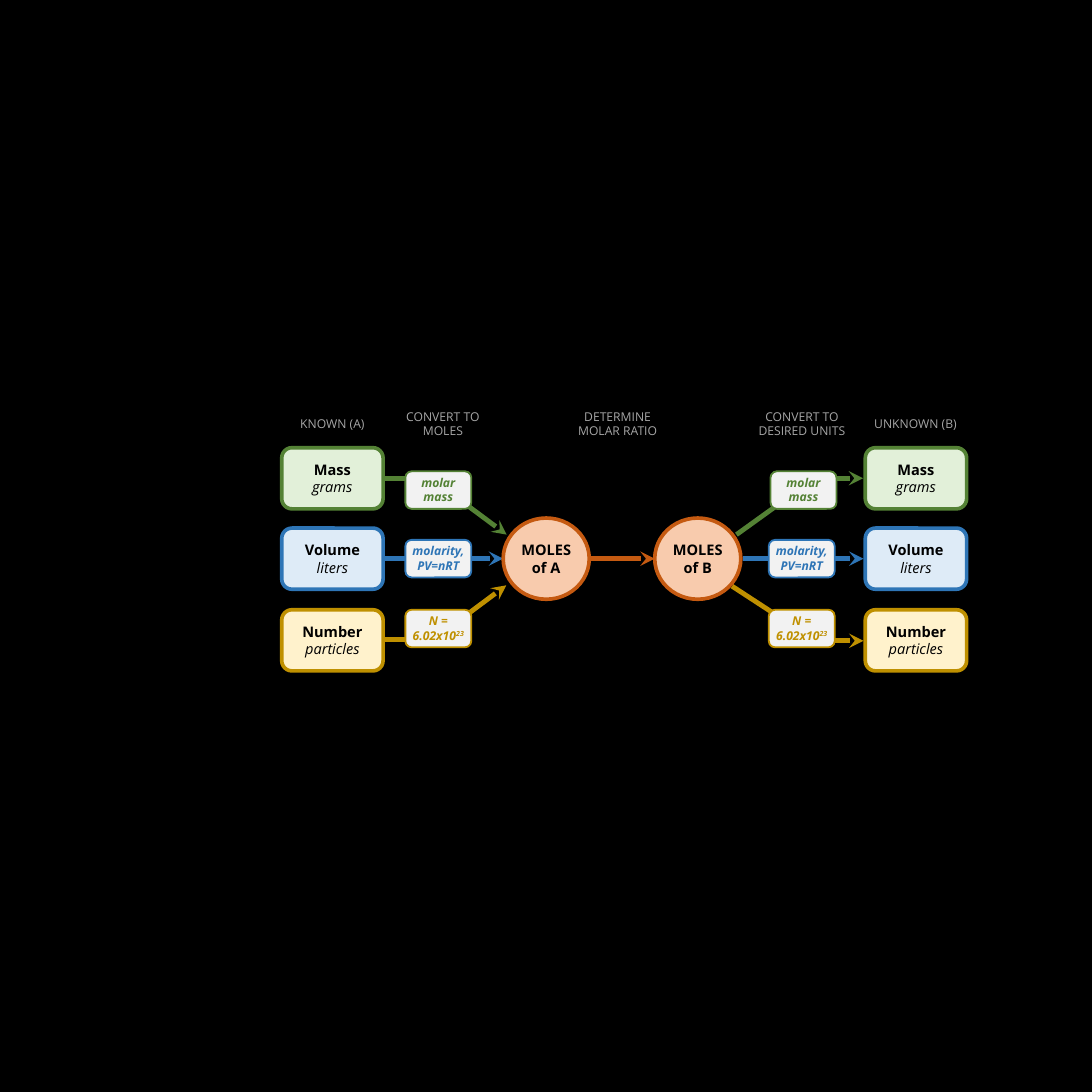
import pptx
import pptx.util
import pptx.dml.color
import pptx.enum.shapes
import pptx.enum.text
import pptx.oxml.ns
import lxml.etree
from dataclasses import dataclass
from pptx.util import Inches


@dataclass(frozen=True)
class Theme:
    font: str = "Open Sans"
    background: str = "000000"
    header: str = "A6A6A6"
    ink: str = "000000"
    label_fill: str = "F2F2F2"
    moles_fill: str = "F8CBAD"
    moles_line: str = "C55A11"
    large: int = 24
    small: int = 20
    arrow_width: int = 8
    box_border: int = 6
    label_border: int = 3


theme = Theme()

QUANTITIES = [
    {"name": "Mass", "unit": "grams", "label": ["molar mass"], "fill": "E2F0D9", "line": "548235",
     "top": 10.25, "label_top": 10.79, "label_lefts": (9.28, 17.64),
     "routes": [((8.76, 10.96), (9.86, 10.96), False), ((9.89, 10.97), (11.6, 12.24), True),
                ((16.86, 12.24), (18.68, 10.93), False), ((18.66, 10.95), (19.76, 10.95), True)]},
    {"name": "Volume", "unit": "liters", "label": ["molarity,", "PV=nRT"], "fill": "DEEBF7", "line": "2E75B6",
     "top": 12.09, "label_top": 12.36, "label_lefts": (9.28, 17.6),
     "routes": [((8.76, 12.79), (11.52, 12.79), True), ((17.02, 12.79), (19.77, 12.79), True)]},
    {"name": "Number", "unit": "particles", "label": ["N =", "6.02x10"], "power": "23",
     "fill": "FFF2CC", "line": "BF9000",
     "top": 13.96, "label_top": 13.96, "label_lefts": (9.28, 17.6),
     "routes": [((8.79, 14.65), (9.89, 14.65), False), ((9.89, 14.67), (11.59, 13.4), True),
                ((16.76, 13.42), (18.66, 14.66), False), ((18.67, 14.67), (19.77, 14.67), True)]},
]
HEADERS = [
    (["KNOWN (A)"], 6.13, 9.49, 2.96, 0.44),
    (["CONVERT TO MOLES"], 8.86, 9.32, 2.56, 0.77),
    (["DETERMINE", "MOLAR RATIO"], 12.86, 9.32, 2.56, 0.77),
    (["CONVERT TO DESIRED UNITS"], 16.84, 9.32, 3.04, 0.77),
    (["UNKNOWN (B)"], 19.48, 9.49, 2.96, 0.44),
]
MOLES = [(["MOLES", "of A"], 11.52), (["MOLES", "of B"], 14.99)]
MOLES_TOP, MOLES_WIDTH, MOLES_HEIGHT = 11.86, 1.97, 1.86
MOLES_MIDDLE = MOLES_TOP + MOLES_HEIGHT / 2
QUANTITY_LEFTS = (6.45, 19.81)
QUANTITY_SIZE = (2.32, 1.4)
LABEL_SIZE = (1.51, 0.86)

SHAPES = pptx.enum.shapes.MSO_SHAPE
ANCHOR = pptx.enum.text.MSO_ANCHOR


def rgb(color):
    return pptx.dml.color.RGBColor.from_string(color)


def style(span, size, color, bold, italic):
    span.font.name = theme.font
    span.font.size = pptx.util.Pt(size)
    span.font.color.rgb = rgb(color)
    span.font.bold = bold
    span.font.italic = italic


def write(box, lines, size, color, styles, grows):
    frame = box.text_frame
    frame.text = "\n".join(lines)
    frame.word_wrap = True
    if grows:
        frame.auto_size = pptx.enum.text.MSO_AUTO_SIZE.SHAPE_TO_FIT_TEXT
    frame.vertical_anchor = ANCHOR.TOP if grows else ANCHOR.MIDDLE
    for para, (bold, italic) in zip(frame.paragraphs, styles):
        para.alignment = pptx.enum.text.PP_ALIGN.CENTER
        for span in para.runs:
            style(span, size, color, bold, italic)


def add_box(page, kind, left, top, size, fill, line, border):
    box = page.shapes.add_shape(kind, Inches(left), Inches(top), *map(Inches, size))
    box.shadow.inherit = False
    box.fill.solid()
    box.fill.fore_color.rgb = rgb(fill)
    box.line.color.rgb = rgb(line)
    box.line.width = pptx.util.Pt(border)
    return box


def add_route(page, start, end, arrow, color):
    route = page.shapes.add_connector(
        pptx.enum.shapes.MSO_CONNECTOR.STRAIGHT, *map(Inches, start + end))
    route.line.color.rgb = rgb(color)
    route.line.width = pptx.util.Pt(theme.arrow_width)
    properties = route._element.spPr
    if arrow:
        outline = properties.find(pptx.oxml.ns.qn("a:ln"))
        lxml.etree.SubElement(outline, pptx.oxml.ns.qn("a:tailEnd"), type="stealth")
    lxml.etree.SubElement(properties, pptx.oxml.ns.qn("a:effectLst"))


def add_label(page, quantity, left):
    box = add_box(page, SHAPES.ROUNDED_RECTANGLE, left, quantity["label_top"], LABEL_SIZE,
                  theme.label_fill, quantity["line"], theme.label_border)
    write(box, quantity["label"], theme.small, quantity["line"], [(True, True)] * 2, True)
    if "power" in quantity:
        span = box.text_frame.paragraphs[-1].add_run()
        span.text = quantity["power"]
        style(span, theme.small, quantity["line"], True, True)
        span._r.get_or_add_rPr().set("baseline", "30000")


def add_quantity(page, quantity):
    for start, end, arrow in quantity["routes"]:
        add_route(page, start, end, arrow, quantity["line"])
    for left in QUANTITY_LEFTS:
        box = add_box(page, SHAPES.ROUNDED_RECTANGLE, left, quantity["top"], QUANTITY_SIZE,
                      quantity["fill"], quantity["line"], theme.box_border)
        write(box, [quantity["name"], quantity["unit"]], theme.large, theme.ink,
              [(True, False), (False, True)], False)
    for left in quantity["label_lefts"]:
        add_label(page, quantity, left)


def main():
    deck = pptx.Presentation()
    deck.slide_width = deck.slide_height = Inches(25)
    page = deck.slides.add_slide(deck.slide_layouts[6])
    page.background.fill.solid()
    page.background.fill.fore_color.rgb = rgb(theme.background)

    for lines, *place in HEADERS:
        box = page.shapes.add_textbox(*map(Inches, place))
        write(box, lines, theme.small, theme.header, [(False, False)] * 2, True)
    for quantity in QUANTITIES:
        add_quantity(page, quantity)

    (_, left_a), (_, left_b) = MOLES
    add_route(page, (left_a + MOLES_WIDTH, MOLES_MIDDLE), (left_b, MOLES_MIDDLE), True, theme.moles_line)
    for lines, left in MOLES:
        box = add_box(page, SHAPES.OVAL, left, MOLES_TOP, (MOLES_WIDTH, MOLES_HEIGHT),
                      theme.moles_fill, theme.moles_line, theme.box_border)
        write(box, lines, theme.large, theme.ink, [(True, False)] * 2, False)

    deck.save("out.pptx")


if __name__ == "__main__":
    main()
